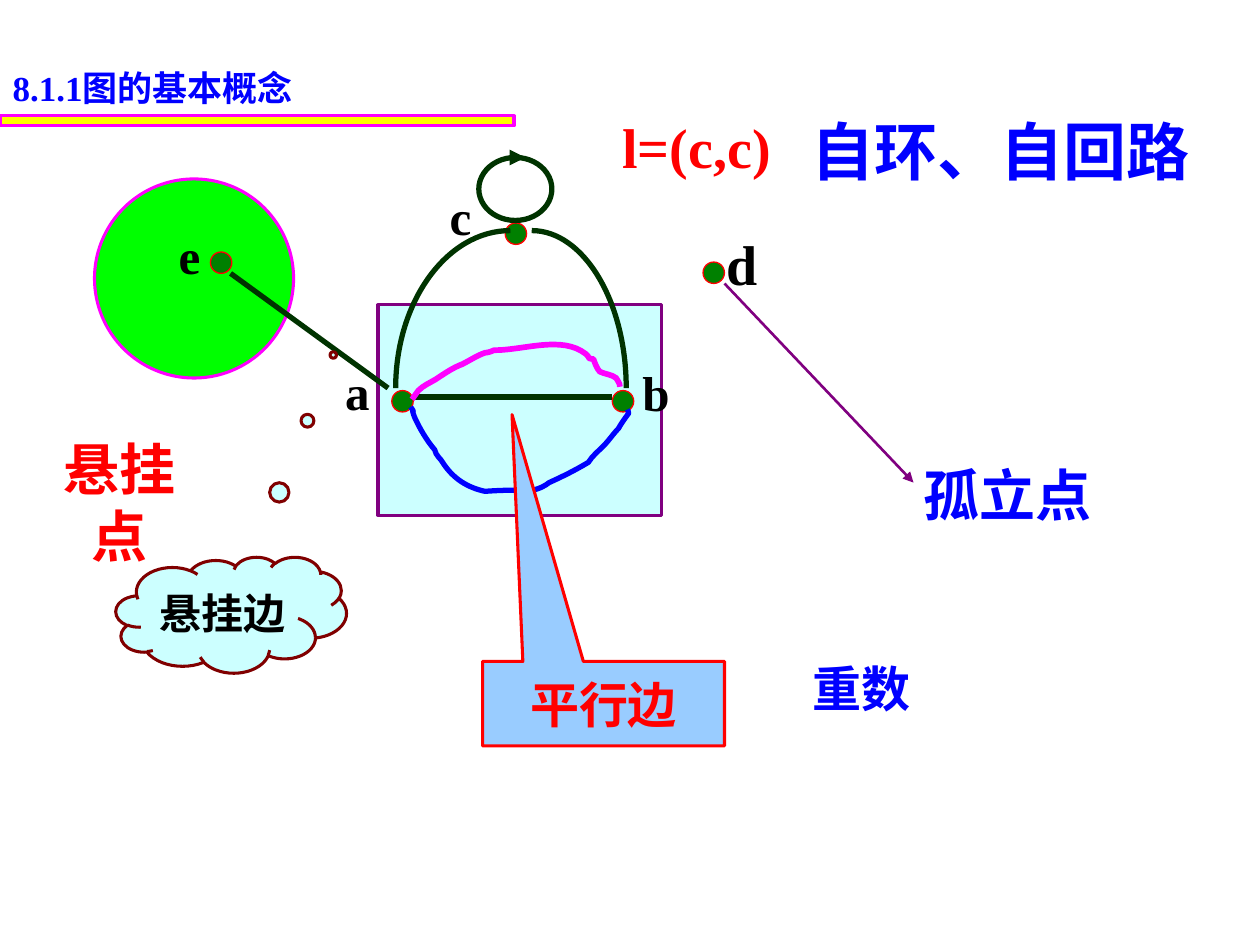
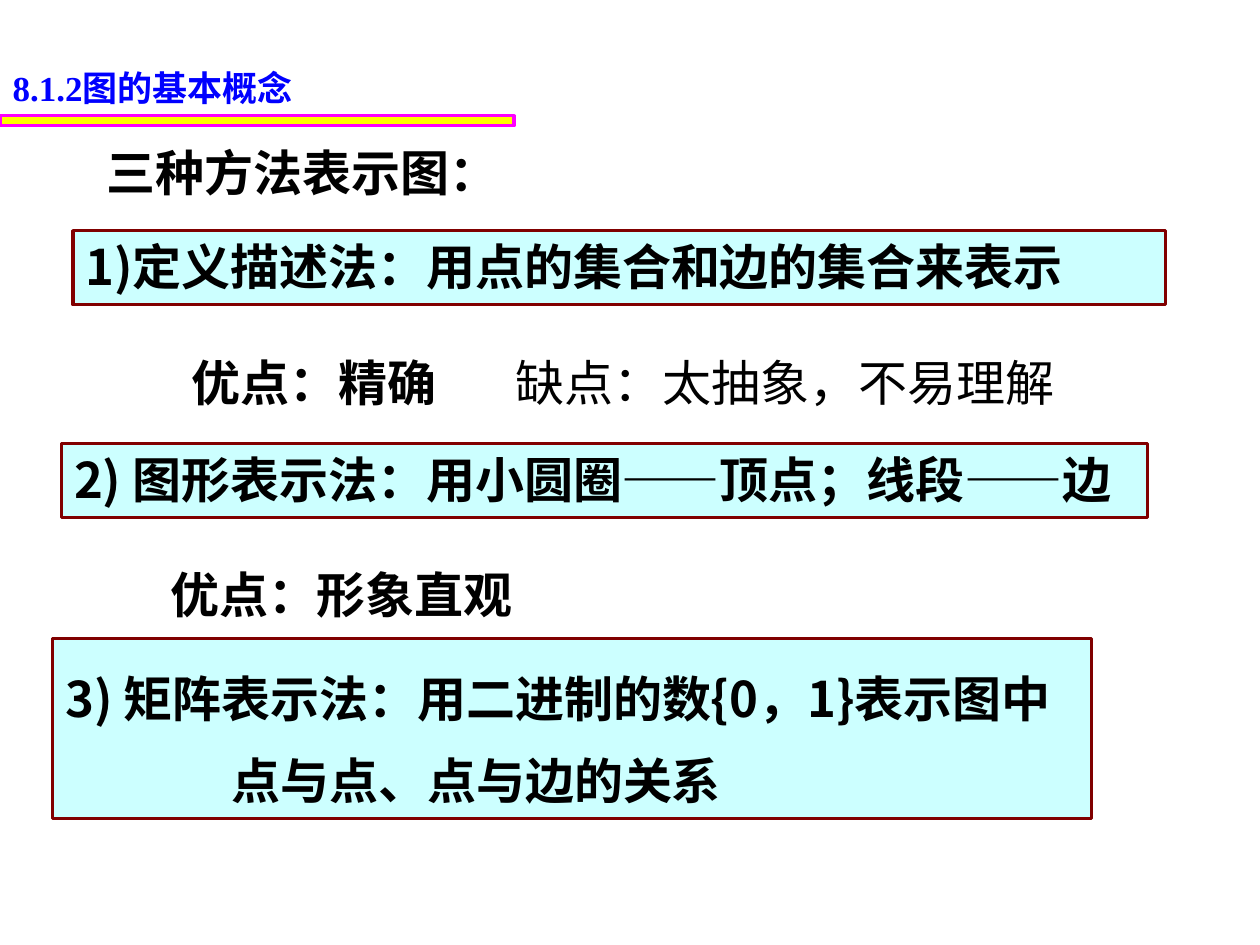
"""Build two slides on the basic concepts of graphs."""
from itertools import cycle

from lxml.etree import SubElement
from pptx import Presentation
from pptx.dml.color import RGBColor
from pptx.enum.shapes import MSO_CONNECTOR, MSO_SHAPE as SHAPE
from pptx.enum.text import MSO_ANCHOR as ANCHOR, MSO_AUTO_SIZE, PP_ALIGN as ALIGN
from pptx.oxml.ns import qn
from pptx.util import Pt

PX = 9144
TIMES, ARIAL, NOTO = "Times New Roman", "Arial", "Noto Sans CJK SC"
BLACK = RGBColor(0x00, 0x00, 0x00)
BLUE = RGBColor(0x00, 0x00, 0xFF)
RED = RGBColor(0xFF, 0x00, 0x00)
YELLOW = RGBColor(0xFF, 0xFF, 0x00)
MAGENTA = RGBColor(0xFF, 0x00, 0xFF)
PURPLE = RGBColor(0x80, 0x00, 0x80)
MAROON = RGBColor(0x80, 0x00, 0x00)
LIME = RGBColor(0x00, 0xFF, 0x00)
GREEN = RGBColor(0x00, 0x80, 0x00)
DARK_GREEN = RGBColor(0x00, 0x33, 0x00)
PALE_CYAN = RGBColor(0xCC, 0xFF, 0xFF)
SKY = RGBColor(0x99, 0xCC, 0xFF)


def draw(slide, kind, box, fill, line, width=1.75):
    shape = slide.shapes.add_shape(kind, *(v * PX for v in box))
    shape.shadow.inherit = False
    if fill is None:
        shape.fill.background()
    else:
        shape.fill.solid()
        shape.fill.fore_color.rgb = fill
    shape.line.color.rgb = line
    shape.line.width = Pt(width)
    return shape


def write(shape, text, faces, size, colour, align=ALIGN.LEFT, anchor=ANCHOR.TOP,
          wrap=True, bold=True):
    frame = shape.text_frame
    frame.auto_size = MSO_AUTO_SIZE.NONE
    frame.word_wrap = wrap
    frame.vertical_anchor = anchor
    first, *others = text.split("|")
    frame.text = first
    for piece in others:
        frame.paragraphs[0].add_run().text = piece
    for paragraph in frame.paragraphs:
        paragraph.alignment = align
        for run, face in zip(paragraph.runs, cycle(faces)):
            run.font.name = face
            run.font.size = Pt(size)
            run.font.bold = bold
            run.font.color.rgb = colour
            SubElement(run.font._element, qn("a:ea"), typeface=NOTO)


deck = Presentation()
deck.slide_width, deck.slide_height = 1000 * PX, 750 * PX
slides = []
for number in ("8.1.1", "8.1.2"):
    slide = deck.slides.add_slide(deck.slide_layouts[5])
    heading = slide.shapes.title
    heading.left, heading.top, heading.width, heading.height = 0, 48 * PX, 352 * PX, 43 * PX
    write(heading, number + "|图的基本概念", (TIMES, ARIAL), 20, BLUE)
    slides.append(slide)
graph, methods = slides

draw(graph, SHAPE.RECTANGLE, (300, 242, 225, 167), PALE_CYAN, PURPLE)
draw(graph, SHAPE.OVAL, (75, 142, 158, 158), LIME, MAGENTA)
for slide in slides:
    draw(slide, SHAPE.RECTANGLE, (0, 92, 408, 8), YELLOW, MAGENTA)

for left, top in ((486, 310), (311, 310), (401, 177), (558, 208), (167, 200)):
    draw(graph, SHAPE.OVAL, (left, top, 17, 17), GREEN, RED, 0.75)
draw(graph, SHAPE.OVAL, (380, 125, 58, 50), None, DARK_GREEN, 3)

for ends, colour, width, arrow in (
    ((328, 315, 486, 315), DARK_GREEN, 3, False),
    ((408, 125, 417, 125), DARK_GREEN, 3, True),
    ((575, 225, 725, 383), PURPLE, 1.5, True),
    ((183, 217, 308, 308), DARK_GREEN, 3, False),
):
    edge = graph.shapes.add_connector(MSO_CONNECTOR.STRAIGHT, *(v * PX for v in ends))
    edge.line.color.rgb = colour
    edge.line.width = Pt(width)
    if arrow:
        SubElement(edge.line._get_or_add_ln(), qn("a:tailEnd"), type="triangle")
    SubElement(edge._element.spPr, qn("a:effectLst"))

lower_edge = [
    (326, 323), (331, 331), (325, 320), (329, 331), (333, 340), (339, 350), (345, 357),
    (346, 362), (350, 364), (352, 368), (360, 380), (371, 387), (385, 390),
    (398, 389), (410, 389), (423, 389), (428, 388), (432, 386), (436, 383),
    (447, 378), (457, 373), (467, 367), (470, 362), (475, 358), (479, 354),
    (483, 350), (487, 344), (491, 340), (493, 336), (499, 328), (499, 328),
    (499, 327), (498, 325), (498, 325)]
upper_edge = [
    (327, 317), (329, 315), (330, 312), (332, 310), (336, 306), (341, 304), (346, 301),
    (352, 297), (359, 292), (367, 289), (373, 286), (379, 282), (385, 280),
    (388, 280), (392, 278), (392, 278), (416, 278), (446, 266), (465, 281),
    (470, 286), (465, 284), (471, 285), (472, 288), (474, 293), (476, 295),
    (480, 297), (485, 297), (489, 300), (490, 302), (492, 304), (492, 307)]
for knots, colour, width in (
    ([(422, 183), (463, 183), (497, 239), (497, 308)], DARK_GREEN, 3),
    ([(405, 183), (355, 183), (314, 239), (314, 308)], DARK_GREEN, 3),
    (lower_edge, BLUE, 3),
    (upper_edge, MAGENTA, 3.25),
):
    builder = graph.shapes.build_freeform(*knots[0], scale=PX)
    builder.add_line_segments(knots[1:], close=False)
    curve = builder.convert_to_shape()
    curve.shadow.inherit = False
    curve.fill.background()
    curve.line.color.rgb = colour
    curve.line.width = Pt(width)
    outline = next(curve._element.iter(qn("a:path")))
    segments = outline.findall(qn("a:lnTo"))
    for start in range(0, len(segments), 3):
        bezier = SubElement(outline, qn("a:cubicBezTo"))
        for segment in segments[start:start + 3]:
            bezier.append(segment[0])
            outline.remove(segment)

for kind, box, tip, fill, line, text, size, colour in (
    (SHAPE.CLOUD_CALLOUT, (92, 442, 183, 92), (0.443, -2.242), PALE_CYAN, MAROON,
     "悬挂边", 24, BLACK),
    (SHAPE.RECTANGULAR_CALLOUT, (383, 525, 192, 67), (-0.378, -3.424), SKY, RED,
     "平行边", 28, RED),
):
    callout = draw(graph, kind, box, fill, line)
    callout.adjustments[0], callout.adjustments[1] = tip
    write(callout, text, (ARIAL,), size, colour, ALIGN.CENTER, ANCHOR.MIDDLE, wrap=False)

hanging_point = graph.shapes.add_textbox(40 * PX, 340 * PX, 153 * PX, 63 * PX)
hanging_point.text_frame.margin_right = 53 * PX
write(hanging_point, "悬挂点", (ARIAL,), 32, RED, ALIGN.CENTER)

for slide, box, text, face, size, colour, align, wrap, bold in (
    (graph, (347, 143, 37, 57), "c", TIMES, 28, BLACK, ALIGN.LEFT, False, True),
    (graph, (264, 282, 40, 57), "a", TIMES, 28, BLACK, ALIGN.LEFT, False, True),
    (graph, (500, 283, 42, 57), "b", TIMES, 28, BLACK, ALIGN.LEFT, False, True),
    (graph, (567, 177, 45, 63), "d", TIMES, 32, BLACK, ALIGN.LEFT, False, True),
    (graph, (132, 174, 37, 57), "e", TIMES, 28, BLACK, ALIGN.CENTER, False, True),
    (graph, (484, 84, 138, 63), "l=(c,c)", TIMES, 32, RED, ALIGN.LEFT, False, True),
    (graph, (634, 84, 321, 70), "自环、自回路", ARIAL, 36, BLUE, ALIGN.LEFT, False, True),
    (graph, (723, 361, 227, 63), "孤立点", ARIAL, 32, BLUE, ALIGN.LEFT, True, True),
    (graph, (601, 518, 165, 57), "重数", ARIAL, 28, BLUE, ALIGN.CENTER, True, True),
    (methods, (75, 108, 400, 57), "三种方法表示图：", ARIAL, 28, BLACK, ALIGN.LEFT, True, True),
    (methods, (142, 275, 214, 57), "优点：精确", ARIAL, 28, BLACK, ALIGN.CENTER, False, True),
    (methods, (399, 275, 448, 57), "缺点：太抽象，不易理解", ARIAL, 28, BLACK,
     ALIGN.CENTER, False, False),
    (methods, (125, 443, 292, 57), "优点：形象直观", ARIAL, 28, BLACK, ALIGN.CENTER, False, True),
):
    label = slide.shapes.add_textbox(*(v * PX for v in box))
    write(label, text, (face,), size, colour, align, wrap=wrap, bold=bold)

for box, text in (
    ((58, 183, 867, 59), "1)定义描述法：用点的集合和边的集合来表示"),
    ((49, 352, 862, 59), "2) 图形表示法：用小圆圈|——|顶点；线段|——|边"),
    ((42, 507, 824, 143), "3) 矩阵表示法：用二进制的数{0，1}表示图中\n点与点、点与边的关系"),
):
    method = draw(methods, SHAPE.RECTANGLE, box, PALE_CYAN, MAROON)
    write(method, text, (NOTO, ARIAL), 28, BLACK)
matrix_lines = method.text_frame.paragraphs
for paragraph in matrix_lines:
    paragraph.line_spacing = 1.4
matrix_lines[1]._p.get_or_add_pPr().set("marL", str(132 * PX))

deck.save("out.pptx")
